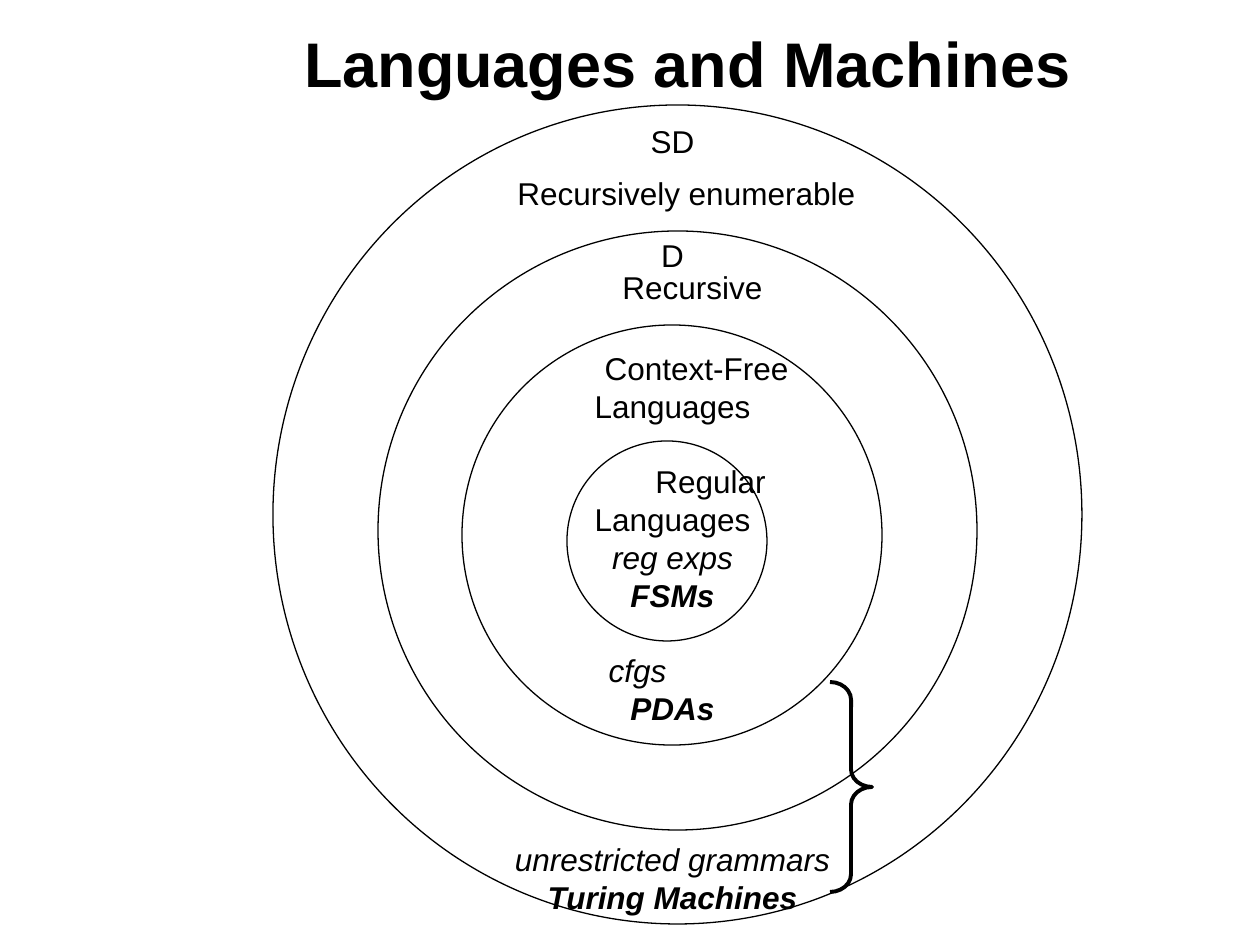
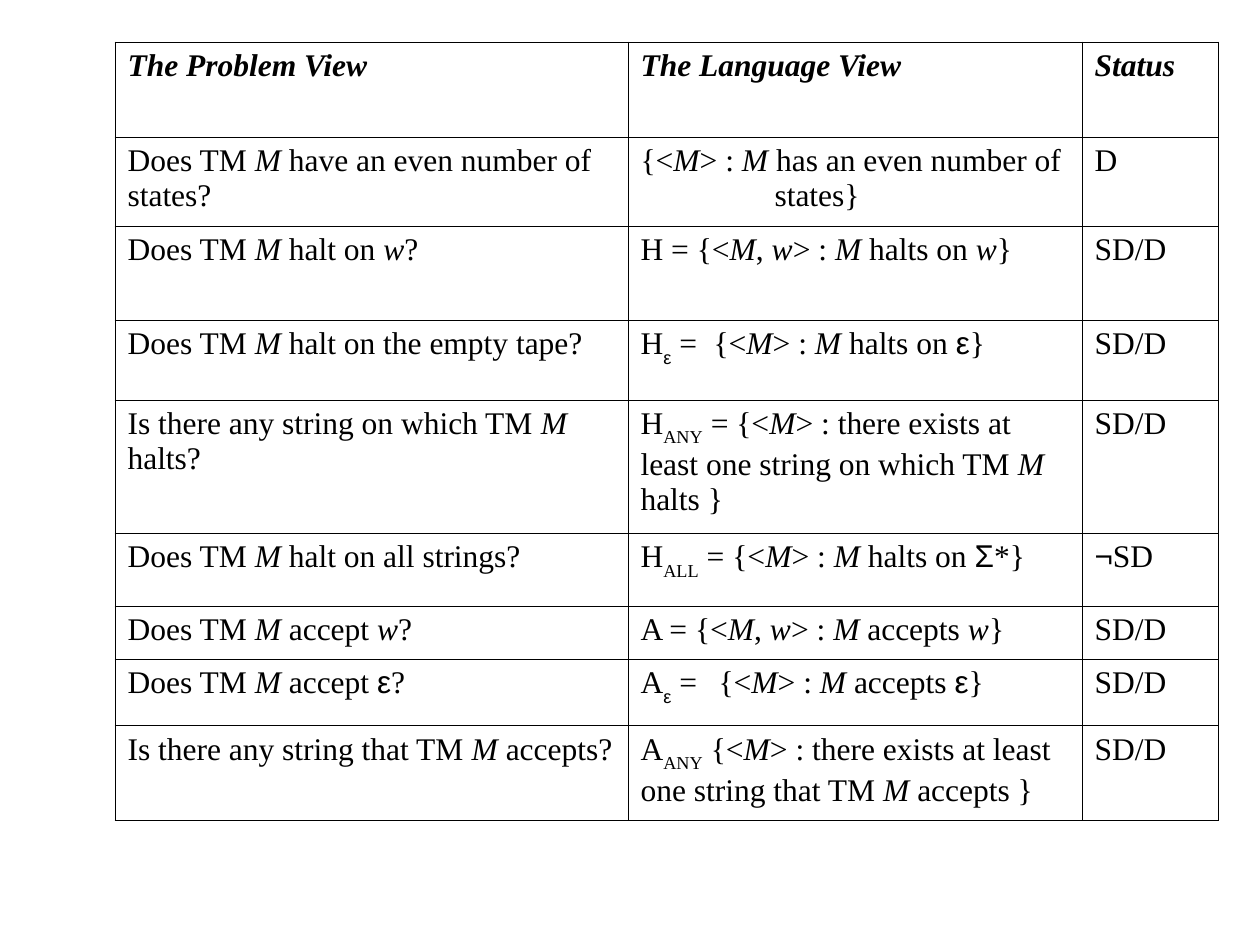
from dataclasses import dataclass
from itertools import groupby
from typing import Any, NamedTuple

from lxml.etree import SubElement
from pptx import Presentation
from pptx.dml.color import RGBColor
from pptx.enum.shapes import MSO_SHAPE
from pptx.enum.text import MSO_ANCHOR, MSO_AUTO_SIZE, PP_ALIGN
from pptx.oxml import parse_xml
from pptx.oxml.ns import nsdecls, qn
from pptx.util import Emu, Pt

PX = 914400 / 126
COLOURS = {"ink": "000000"}
SANS, SERIF = "Arial", "Times New Roman"
LINE_HEIGHT = 21.6
BORDER_WIDTH = Pt(0.45)
ITALIC_MARK, SUBSCRIPT_MARK = "_", "~"
SANS_SYMBOLS = "εΣ¬"


@dataclass(frozen=True)
class Line:
    text: str
    blank_lines: int = 0
    left: int = 0
    right: int = 0
    tab: int = 0
    align: PP_ALIGN = PP_ALIGN.LEFT
    bold: bool = False
    italic: bool = False


@dataclass(frozen=True)
class Style:
    font: str = SANS
    size: int = 18
    line_height: float | None = None


class Frame(NamedTuple):
    left: int
    top: int
    width: int
    height: int


class Outline(NamedTuple):
    kind: MSO_SHAPE
    frame: Frame
    weight: float
    adjustments: tuple[float, ...] = ()


class Label(NamedTuple):
    frame: Frame
    text: str


class Problem(NamedTuple):
    question: str
    language: tuple[Line, ...]
    status: str


TITLE_STYLE = Style(size=36)
BODY_STYLE = Style(line_height=LINE_HEIGHT)
TABLE_STYLE = Style(font=SERIF)


def centred(text: str, **options: Any) -> Line:
    return Line(text, align=PP_ALIGN.CENTER, **options)


TITLE_FRAME = Frame(105, 10, 1165, 105)
HIERARCHY_FRAME = Frame(116, 116, 1113, 806)
HIERARCHY = [
    centred("SD"),
    centred("D", blank_lines=2),
    centred("Context-Free", blank_lines=2, left=48),
    centred("Languages"),
    Line("Regular", blank_lines=1, left=527),
    centred("Languages"),
    centred("reg exps", italic=True),
    centred("FSMs", bold=True, italic=True),
    centred("cfgs", blank_lines=1, right=70, italic=True),
    centred("PDAs", bold=True, italic=True),
    centred("unrestricted grammars", blank_lines=3, italic=True),
    centred("Turing Machines", bold=True, italic=True),
]
OUTLINES = [
    Outline(MSO_SHAPE.OVAL, Frame(567, 441, 200, 200), 0.75),
    Outline(MSO_SHAPE.OVAL, Frame(462, 325, 420, 420), 0.75),
    Outline(MSO_SHAPE.OVAL, Frame(378, 231, 599, 599), 0.75),
    Outline(MSO_SHAPE.OVAL, Frame(273, 105, 809, 819), 0.75),
    Outline(MSO_SHAPE.RIGHT_BRACE, Frame(830, 682, 42, 210), 2.25, (0.42, 0.5)),
]
LABELS = [
    Label(Frame(610, 262, 165, 50), "Recursive"),
    Label(Frame(505, 168, 363, 50), "Recursively enumerable"),
]

TABLE_ORIGIN = (115, 42)
COLUMN_WIDTHS = (513, 454, 136)
ROW_HEIGHTS = (95, 89, 94, 80, 133, 73, 53, 67, 95)
HEADINGS = ("The Problem View", "The Language View", "Status")
PROBLEMS = [
    Problem(
        "Does TM _M_ have an even number of states?",
        (Line("{<_M_> : _M_ has an even number of"), Line("states}", left=134)),
        "D",
    ),
    Problem("Does TM _M_ halt on _w_?", (Line("H = {<_M_, _w_> : _M_ halts on _w_}"),), "SD/D"),
    Problem(
        "Does TM _M_ halt on the empty tape?",
        (Line("H~ε~ =\t{<_M_> : _M_ halts on ε}", tab=73),),
        "SD/D",
    ),
    Problem(
        "Is there any string on which TM _M_ halts?",
        (Line("H~ANY~ = {<_M_> : there exists at least one string on which TM _M_ halts }"),),
        "SD/D",
    ),
    Problem(
        "Does TM _M_ halt on all strings?",
        (Line("H~ALL~ = {<_M_> : _M_ halts on Σ*}"),),
        "¬SD",
    ),
    Problem("Does TM _M_ accept _w_?", (Line("A = {<_M_, _w_> : _M_ accepts _w_}"),), "SD/D"),
    Problem(
        "Does TM _M_ accept ε?",
        (Line("A~ε~ =\t{<_M_> : _M_ accepts ε}", tab=78),),
        "SD/D",
    ),
    Problem(
        "Is there any string that TM _M_ accepts?",
        (Line("A~ANY~ {<_M_> : there exists at least one string that TM _M_ accepts }"),),
        "SD/D",
    ),
]


def px(length: int) -> Emu:
    return Emu(round(length * PX))


def place(frame: Frame) -> tuple[Emu, ...]:
    return tuple(px(length) for length in frame)


def ink() -> RGBColor:
    return RGBColor.from_string(COLOURS["ink"])


def apply_format(target: Any, values: dict[str, Any]) -> None:
    for name, value in values.items():
        setattr(target, name, value)


def split_spans(text: str) -> list[tuple[str, bool, bool, bool]]:
    italic = subscript = False
    letters = []
    for letter in text:
        if letter == ITALIC_MARK:
            italic = not italic
        elif letter == SUBSCRIPT_MARK:
            subscript = not subscript
        else:
            letters.append((letter, italic, subscript, letter in SANS_SYMBOLS))
    return [
        ("".join(letter[0] for letter in group), *flags)
        for flags, group in groupby(letters, key=lambda letter: letter[1:])
    ]


def write_line(para: Any, line: Line, style: Style) -> None:
    values: dict[str, Any] = {"alignment": line.align}
    if style.line_height:
        values["line_spacing"] = Pt(style.line_height)
        values["space_before"] = Pt(line.blank_lines * style.line_height)
    apply_format(para, values)
    properties = para._p.get_or_add_pPr()
    for name, margin in {"marL": line.left, "marR": line.right}.items():
        properties.set(name, str(px(margin)))
    if line.tab:
        tabs = SubElement(properties, qn("a:tabLst"))
        SubElement(tabs, qn("a:tab"), pos=str(px(line.tab)), algn="l")
    for text, italic, subscript, symbol in split_spans(line.text):
        span = para.add_run()
        span.text = text
        apply_format(span.font, {
            "name": SANS if symbol else style.font,
            "size": Pt(style.size),
            "bold": line.bold,
            "italic": line.italic or italic,
        })
        span.font.color.rgb = ink()
        if subscript:
            span.font._element.set("baseline", "-30000")


def write_lines(frame: Any, lines: list[Line] | tuple[Line, ...], style: Style) -> None:
    for index, line in enumerate(lines):
        para = frame.add_paragraph() if index else frame.paragraphs[0]
        write_line(para, line, style)


def add_text(page: Any, frame: Frame, lines: list[Line], style: Style, **values: Any) -> None:
    box = page.shapes.add_textbox(*place(frame))
    apply_format(box.text_frame, {"word_wrap": True, **values})
    write_lines(box.text_frame, lines, style)


def add_outline(page: Any, outline: Outline) -> None:
    shape = page.shapes.add_shape(outline.kind, *place(outline.frame))
    for index, value in enumerate(outline.adjustments):
        shape.adjustments[index] = value
    shape.shadow.inherit = False
    shape.fill.background()
    shape.line.color.rgb = ink()
    shape.line.width = Pt(outline.weight)


def border_cell(cell: Any) -> None:
    cell.fill.background()
    properties = cell._tc.get_or_add_tcPr()
    for index, side in enumerate(("lnL", "lnR", "lnT", "lnB")):
        border = parse_xml(
            f'<a:{side} {nsdecls("a")} w="{BORDER_WIDTH}"><a:solidFill>'
            f'<a:srgbClr val="{COLOURS["ink"]}"/></a:solidFill></a:{side}>'
        )
        properties.insert(index, border)


def build_hierarchy(page: Any) -> None:
    title = [centred("Languages and Machines", bold=True)]
    add_text(page, TITLE_FRAME, title, TITLE_STYLE, vertical_anchor=MSO_ANCHOR.MIDDLE)
    grow = MSO_AUTO_SIZE.SHAPE_TO_FIT_TEXT
    add_text(page, HIERARCHY_FRAME, HIERARCHY, BODY_STYLE, auto_size=grow)
    for outline in OUTLINES:
        add_outline(page, outline)
    for label in LABELS:
        add_text(page, label.frame, [Line(label.text)], BODY_STYLE, word_wrap=False, auto_size=grow)


def build_problem_table(page: Any) -> None:
    frame = Frame(*TABLE_ORIGIN, sum(COLUMN_WIDTHS), sum(ROW_HEIGHTS))
    table = page.shapes.add_table(len(ROW_HEIGHTS), len(COLUMN_WIDTHS), *place(frame)).table
    apply_format(table, {"first_row": False, "horz_banding": False})
    for column, width in zip(table.columns, COLUMN_WIDTHS):
        column.width = px(width)
    rows = [[(Line(heading, bold=True, italic=True),) for heading in HEADINGS]]
    rows += [
        [(Line(problem.question),), problem.language, (Line(problem.status),)]
        for problem in PROBLEMS
    ]
    for row, height, contents in zip(table.rows, ROW_HEIGHTS, rows):
        row.height = px(height)
        for cell, lines in zip(row.cells, contents):
            border_cell(cell)
            write_lines(cell.text_frame, lines, TABLE_STYLE)


def main() -> None:
    deck = Presentation()
    apply_format(deck, {"slide_width": px(1260), "slide_height": px(945)})
    for build in (build_hierarchy, build_problem_table):
        build(deck.slides.add_slide(deck.slide_layouts[6]))
    deck.save("out.pptx")


if __name__ == "__main__":
    main()
